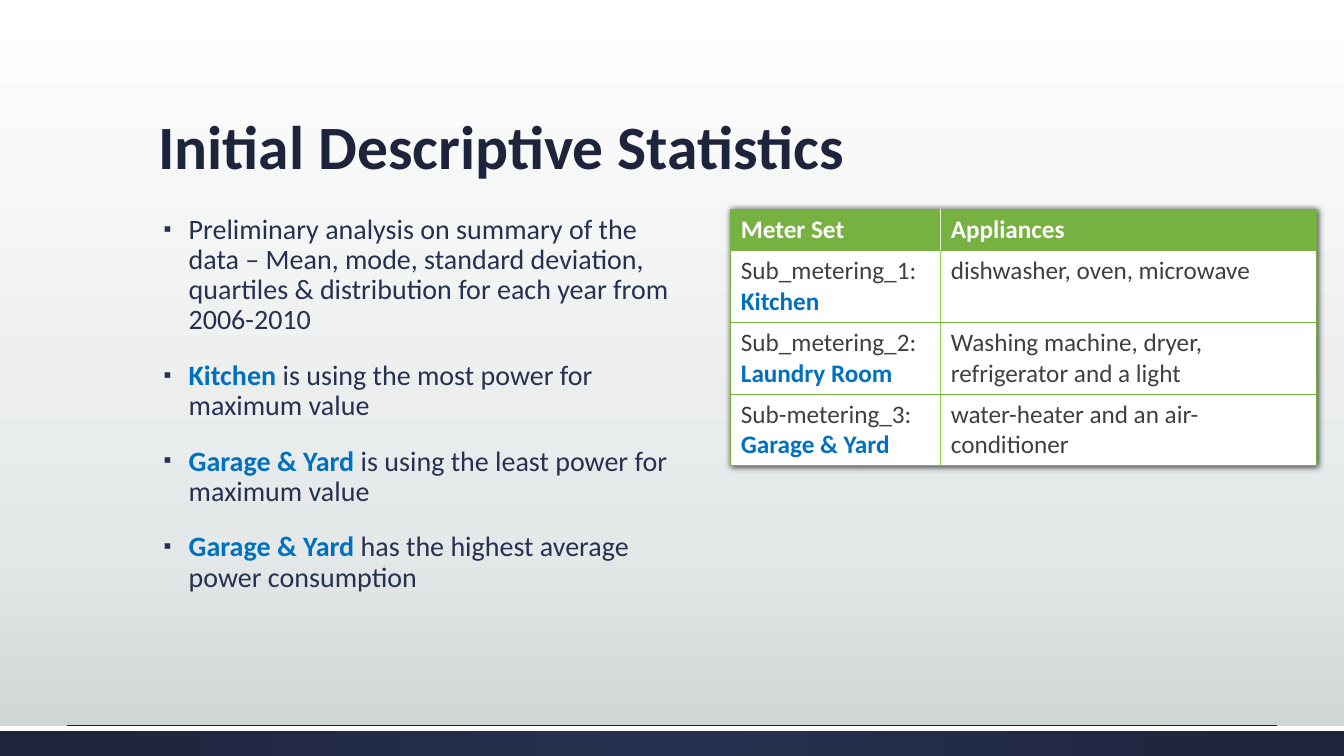
from lxml.etree import SubElement
from pptx import Presentation
from pptx.dml.color import RGBColor
from pptx.enum.shapes import MSO_CONNECTOR, MSO_SHAPE
from pptx.enum.text import MSO_ANCHOR, MSO_AUTO_SIZE, PP_ALIGN
from pptx.oxml import parse_xml
from pptx.oxml.ns import nsdecls, qn
from pptx.util import Pt

NAVY = RGBColor(0x26, 0x30, 0x50)
DARK_NAVY = RGBColor(0x1D, 0x24, 0x3C)
BLUE = RGBColor(0x00, 0x70, 0xC0)
GREEN = RGBColor(0x77, 0xB1, 0x42)
LIME = RGBColor(0x92, 0xD0, 0x50)
PALE_GREEN = RGBColor(0xE4, 0xF0, 0xD8)
GRAY = RGBColor(0x40, 0x40, 0x40)
WHITE = RGBColor(0xFF, 0xFF, 0xFF)
MIST = RGBColor(0xE5, 0xE8, 0xE8)
SILVER = RGBColor(0xCD, 0xD2, 0xD2)

FONT = "Calibri"
WIDTH, HEIGHT = 960, 540

# Each run is (text, highlighted)
BULLETS = [
    [("Preliminary analysis on summary of the data – Mean, mode, standard deviation, "
      "quartiles & distribution for each year from 2006-2010", False)],
    [("Kitchen", True), (" is using the most power for maximum value", False)],
    [("Garage & Yard ", True), ("is using the least power for maximum value", False)],
    [("Garage & Yard ", True), ("has the highest average power consumption", False)],
]
METERS = [
    ("Sub_metering_1: ", "Kitchen", "dishwasher, oven, microwave"),
    ("Sub_metering_2: ", "Laundry Room", "Washing machine, dryer, refrigerator and a light"),
    ("Sub-metering_3: ", "Garage & Yard", "water-heater and an air-conditioner"),
]


def add_run(p, text, size, color, bold=False):
    r = p.add_run()
    r.text = text
    r.font.name, r.font.size, r.font.bold = FONT, Pt(size), bold
    r.font.color.rgb = color


def place(shape, left, top, width, height):
    shape.left, shape.top = Pt(left), Pt(top)
    shape.width, shape.height = Pt(width), Pt(height)


def set_gradient(fill, parent, stops, direction):
    """Give the fill found under parent any number of (percent, colour) stops."""
    fill.gradient()
    old = parent.find(".//" + qn("a:gradFill"))
    gs = "".join(f'<a:gs pos="{pos * 1000}"><a:srgbClr val="{color}"/></a:gs>'
                 for pos, color in stops)
    old.getparent().replace(old, parse_xml(
        f'<a:gradFill {nsdecls("a")} rotWithShape="1"><a:gsLst>{gs}</a:gsLst>'
        f'{direction}</a:gradFill>'))


def add_bar(s, top, height):
    bar = s.shapes.add_shape(MSO_SHAPE.RECTANGLE, 0, Pt(top), Pt(WIDTH), Pt(height))
    bar.shadow.inherit = False
    bar.line.fill.background()
    bar.fill.solid()
    bar.fill.fore_color.rgb = WHITE
    return bar


def add_footer(s):
    band = add_bar(s, 518.4, 21.6)
    set_gradient(band.fill, band.element, [(0, NAVY), (100, DARK_NAVY)],
                 '<a:path path="circle"><a:fillToRect l="50000" t="50000" '
                 'r="50000" b="50000"/></a:path>')
    add_bar(s, 518.4, 3.6)
    rule = s.shapes.add_connector(MSO_CONNECTOR.STRAIGHT, Pt(48), Pt(518), Pt(912), Pt(518))
    rule.line.color.rgb = DARK_NAVY
    rule.line.width = Pt(0.5)
    SubElement(rule.element.spPr, qn("a:effectLst"))


def fill_title(title):
    place(title, 106, 36.7, 749, 97.2)
    tf = title.text_frame
    tf.auto_size, tf.vertical_anchor = MSO_AUTO_SIZE.NONE, MSO_ANCHOR.BOTTOM
    p = tf.paragraphs[0]
    p.alignment, p.line_spacing = PP_ALIGN.LEFT, 0.9
    add_run(p, "Initial Descriptive Statistics", 44, DARK_NAVY, True)


def set_bullet(p):
    pPr = p._p.get_or_add_pPr()
    pPr.set("marL", str(Pt(21.6)))
    pPr.set("indent", str(-Pt(18)))
    color = SubElement(pPr, qn("a:buClr"))
    SubElement(color, qn("a:srgbClr"), val=str(NAVY))
    SubElement(pPr, qn("a:buSzPct"), val="80000")
    SubElement(pPr, qn("a:buFont"), typeface="Arial")
    SubElement(pPr, qn("a:buChar"), char="▪")


def fill_body(body):
    place(body, 106, 150, 386.5, 324.5)
    tf = body.text_frame
    tf.auto_size = MSO_AUTO_SIZE.NONE
    for i, runs in enumerate(BULLETS):
        p = tf.add_paragraph() if i else tf.paragraphs[0]
        p.line_spacing, p.space_before = 0.9, Pt(18)
        set_bullet(p)
        for text, highlighted in runs:
            add_run(p, text, 20, BLUE if highlighted else NAVY, highlighted)


def set_border(cell, side, color, width):
    ln = parse_xml(f'<a:ln{side} {nsdecls("a")} w="{Pt(width)}"><a:solidFill>'
                   f'<a:srgbClr val="{color}"/></a:solidFill></a:ln{side}>')
    tcPr = cell._tc.get_or_add_tcPr()
    # Borders come before the fill, in the order L, R, T, B
    tcPr.insert("LRTB".index(side), ln)


def fill_cell(cell, runs, fill, column, divider):
    cell.fill.solid()
    cell.fill.fore_color.rgb = fill
    for text, color, bold in runs:
        add_run(cell.text_frame.paragraphs[0], text, 18, color, bold)
    inner = "LR"[1 - column]
    for side in "LRTB":
        color, width = (divider, 1) if side == inner else (GREEN, 0.5)
        set_border(cell, side, color, width)


def add_meter_table(s):
    frame = s.shapes.add_table(len(METERS) + 1, 2, Pt(522), Pt(149.6), Pt(418.5), Pt(183))
    table = frame.table
    table.columns[0].width, table.columns[1].width = Pt(150), Pt(268.5)
    for i, row in enumerate(table.rows):
        row.height = Pt(51 if i else 29.5)

    # Soft shadow around the whole table
    table._tbl.tblPr.insert(0, parse_xml(
        f'<a:effectLst {nsdecls("a")}><a:outerShdw blurRad="{Pt(5)}" dist="0" dir="0">'
        '<a:srgbClr val="000000"><a:alpha val="75000"/></a:srgbClr></a:outerShdw></a:effectLst>'))

    for column, heading in enumerate(("Meter Set", "Appliances")):
        fill_cell(table.cell(0, column), [(heading, WHITE, True)], GREEN, column, PALE_GREEN)
    for i, (meter, room, appliances) in enumerate(METERS, 1):
        fill_cell(table.cell(i, 0), [(meter, GRAY, False), (room, BLUE, True)], WHITE, 0, LIME)
        fill_cell(table.cell(i, 1), [(appliances, GRAY, False)], WHITE, 1, LIME)


def main():
    prs = Presentation()
    prs.slide_width, prs.slide_height = Pt(WIDTH), Pt(HEIGHT)
    s = prs.slides.add_slide(prs.slide_layouts[1])
    set_gradient(s.background.fill, s.element, [(0, WHITE), (72, MIST), (100, SILVER)],
                 '<a:lin ang="5400000" scaled="0"/>')
    add_footer(s)
    fill_title(s.shapes.title)
    fill_body(s.placeholders[1])
    add_meter_table(s)
    prs.save("out.pptx")


if __name__ == "__main__":
    main()
